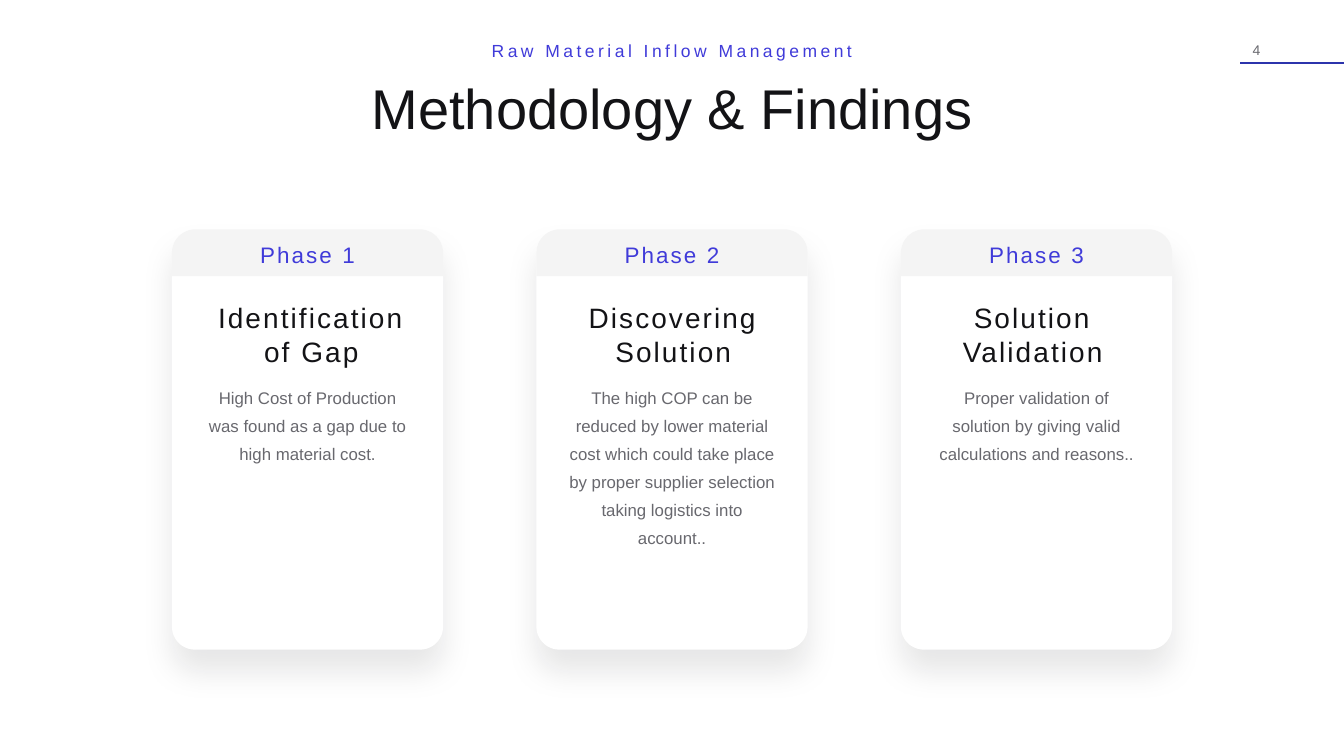
from dataclasses import dataclass

from lxml.etree import SubElement
from pptx import Presentation
from pptx.dml.color import RGBColor
from pptx.enum.shapes import MSO_CONNECTOR, MSO_SHAPE
from pptx.enum.text import MSO_ANCHOR as Anchor, MSO_AUTO_SIZE as AutoSize, PP_ALIGN as Align
from pptx.oxml.ns import qn
from pptx.shapes.autoshape import Shape
from pptx.slide import Slide
from pptx.util import Inches, Pt

INK, GREY, VIOLET, MINT = "131316", "68686E", "403BD9", "38F2AE"
CARD_LEFT, CARD_TOP, CARD_PITCH = 3.41, 4.55, 7.23
CARD_WIDTH, CARD_HEIGHT, BAND_HEIGHT = 5.38, 8.34, 0.93
LABEL_WIDTH, SUMMARY_WIDTH = 2.11, 4.31


@dataclass
class Phase:
    """Content of one card, with the place of its headline."""
    label: str
    headline: str
    headline_left: float
    headline_width: float
    summary: str
    summary_height: float


PHASES = [
    Phase("Phase 1", "Identification of Gap", 4.02, 4.31,
          "High Cost of Production was found as a gap due to high material cost.", 1.74),
    Phase("Phase 2", "Discovering Solution", 11.34, 4.03,
          "The high COP can be reduced by lower material cost which could take place "
          "by proper supplier selection taking logistics into account..", 3.43),
    Phase("Phase 3", "Solution Validation", 18.89, 3.19,
          "Proper validation of solution by giving valid calculations and reasons..", 1.74),
]


def rgb(color: str) -> RGBColor:
    """Turn a hex string into a colour."""
    return RGBColor.from_string(color)


def write(holder: Shape, text: str, *, size: float, color: str = INK, fade_to: str = "",
          spacing: float = 0, leading: float = 0, align: Align = Align.CENTER,
          anchor: Anchor = Anchor.TOP, wrap: bool = False, inset: bool = True) -> None:
    """Put formatted text into a text box or placeholder."""
    frame = holder.text_frame
    frame.word_wrap = wrap
    frame.auto_size = AutoSize.SHAPE_TO_FIT_TEXT
    frame.vertical_anchor = anchor
    if not inset:
        frame.margin_left = frame.margin_right = frame.margin_top = frame.margin_bottom = 0
    paragraph = frame.paragraphs[0]
    paragraph.alignment = align
    if leading:
        paragraph.line_spacing = Pt(leading)
    run = paragraph.add_run()
    run.text = text
    run.font.name = "Arial"
    run.font.size = Pt(size)
    if fade_to:
        run.font.fill.gradient()
        run.font.fill.gradient_angle = 240
        stops = run.font.fill.gradient_stops
        for stop, shade, position in zip(stops, (color, fade_to), (0.06, 0.94)):
            stop.color.rgb = rgb(shade)
            stop.position = position
    else:
        run.font.color.rgb = rgb(color)
    if spacing:
        run._r.get_or_add_rPr().set("spc", str(round(spacing * 100)))


def add_box(slide: Slide, left: float, top: float, width: float, height: float) -> Shape:
    """Add an empty text box."""
    return slide.shapes.add_textbox(Inches(left), Inches(top), Inches(width), Inches(height))


def add_panel(slide: Slide, kind: MSO_SHAPE, left: float, height: float,
              color: str, corners: list[float]) -> Shape:
    """Add a flat rounded panel at the top edge of the cards."""
    panel = slide.shapes.add_shape(kind, Inches(left), Inches(CARD_TOP),
                                   Inches(CARD_WIDTH), Inches(height))
    for index, corner in enumerate(corners):
        panel.adjustments[index] = corner
    panel.fill.solid()
    panel.fill.fore_color.rgb = rgb(color)
    panel.line.fill.background()
    panel.shadow.inherit = False
    return panel


def add_soft_shadow(panel: Shape) -> None:
    """Give a panel a blurred shadow that falls straight down."""
    effects = panel._element.spPr.find(qn("a:effectLst"))
    shadow = SubElement(effects, qn("a:outerShdw"), blurRad=str(Pt(45)), dist=str(Pt(30)),
                        dir="5400000", algn="t", rotWithShape="0")
    tint = SubElement(shadow, qn("a:srgbClr"), val=INK)
    SubElement(tint, qn("a:alpha"), val="10000")


def add_card(slide: Slide, phase: Phase, left: float) -> None:
    """Draw one phase card."""
    card = add_panel(slide, MSO_SHAPE.ROUNDED_RECTANGLE, left, CARD_HEIGHT, "FFFFFF", [0.085])
    add_soft_shadow(card)
    summary_left = left + (CARD_WIDTH - SUMMARY_WIDTH) / 2
    write(add_box(slide, summary_left, 7.49, SUMMARY_WIDTH, phase.summary_height),
          phase.summary, size=24, color=GREY, leading=40, wrap=True)
    write(add_box(slide, phase.headline_left, 5.91, phase.headline_width, 1.45),
          phase.headline, size=40, spacing=3, anchor=Anchor.MIDDLE, wrap=True)
    add_panel(slide, MSO_SHAPE.ROUND_2_SAME_RECTANGLE, left, BAND_HEIGHT, "F4F4F4", [0.5, 0])
    label_left = left + (CARD_WIDTH - LABEL_WIDTH) / 2
    write(add_box(slide, label_left, 4.74, LABEL_WIDTH, 0.64), phase.label,
          size=32, color=VIOLET, fade_to=MINT, spacing=3, anchor=Anchor.MIDDLE)


def add_page_mark(slide: Slide) -> None:
    """Draw the page number and the rule under it."""
    write(add_box(slide, 24.67, 0.83, 0.33, 0.34), "4", size=20, color=GREY,
          align=Align.RIGHT, inset=False)
    rule = slide.shapes.add_connector(MSO_CONNECTOR.STRAIGHT, Inches(24.6), Inches(1.25),
                                      Inches(26.66), Inches(1.25))
    rule.line.color.rgb = rgb("2C34AC")
    rule.line.width = Pt(2.5)
    SubElement(rule._element.spPr, qn("a:effectLst"))


def main() -> None:
    """Build and save the slide."""
    deck = Presentation()
    deck.slide_width, deck.slide_height = Inches(26.66), Inches(15)
    slide = deck.slides.add_slide(deck.slide_layouts[5])
    add_page_mark(slide)
    title = slide.shapes.title
    title.left, title.top = Inches(7.15), Inches(1.4)
    title.width, title.height = Inches(12.37), Inches(1.45)
    write(title, "Methodology & Findings", size=80)
    write(add_box(slide, 9.56, 0.74, 7.54, 0.52), "Raw Material Inflow Management",
          size=25, color=VIOLET, spacing=5, anchor=Anchor.BOTTOM)
    for index, phase in enumerate(PHASES):
        add_card(slide, phase, CARD_LEFT + index * CARD_PITCH)
    deck.save("out.pptx")


if __name__ == "__main__":
    main()
